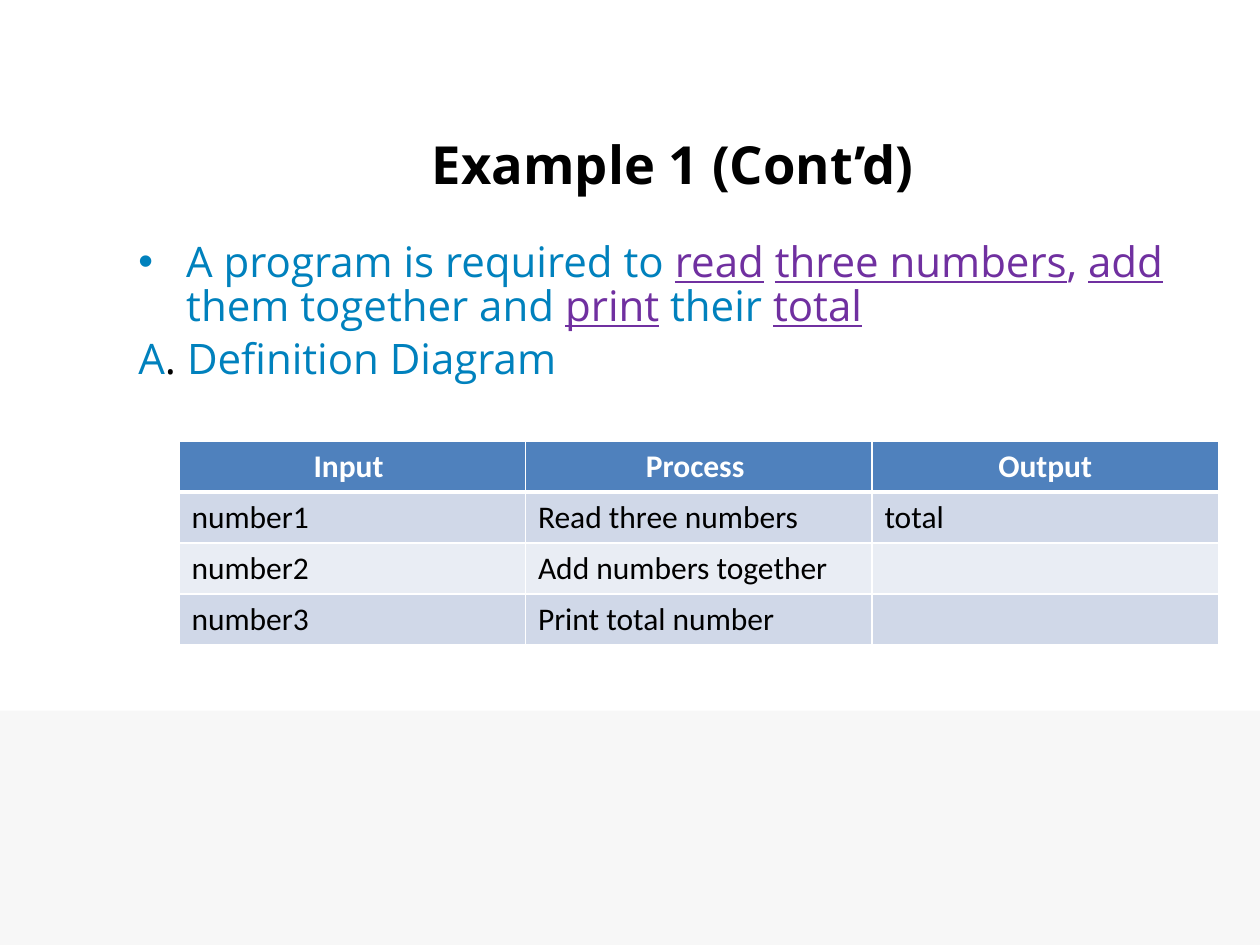
from lxml import etree
from pptx import Presentation
from pptx.dml.color import RGBColor
from pptx.enum import shapes, text
from pptx.oxml import ns
from pptx.util import Inches, Pt

BLACK = RGBColor(0, 0, 0)
WHITE = RGBColor(0xFF, 0xFF, 0xFF)
GRAY = RGBColor(0xF7, 0xF7, 0xF7)
BLUE = RGBColor(0x00, 0x81, 0xBD)
PURPLE = RGBColor(0x70, 0x30, 0xA0)
HEAD = RGBColor(0x4F, 0x81, 0xBD)
BANDS = [RGBColor(0xD0, 0xD8, 0xE8), RGBColor(0xE9, 0xED, 0xF4)]


class Page:
    sans = "Open Sans"
    body = "Calibri"

    def __init__(self, slide):
        self.slide = slide

    def style(self, font, face, size, color, bold=False):
        font.name, font.size, font.bold = face, Pt(size), bold
        font.color.rgb = color

    def rect(self, box, color):
        shape = self.slide.shapes.add_shape(
            shapes.MSO_SHAPE.RECTANGLE, *map(Inches, box))
        shape.shadow.inherit = False
        shape.fill.solid()
        shape.fill.fore_color.rgb = color
        shape.line.fill.background()

    def frame(self, box):
        frame = self.slide.shapes.add_textbox(*map(Inches, box)).text_frame
        frame.word_wrap = True
        return frame

    def title(self, box, words):
        frame = self.frame(box)
        frame.vertical_anchor = text.MSO_ANCHOR.MIDDLE
        frame.text = words
        self.style(frame.paragraphs[0].runs[0].font, self.sans, 30, BLACK, True)

    def points(self, box, items):
        """Each item is a bullet flag and its runs: words, colour, underline."""
        frame = self.frame(box)
        frame.margin_top = Inches(0.09)
        for i, (bullet, runs) in enumerate(items):
            para = frame.add_paragraph() if i else frame.paragraphs[0]
            para.line_spacing = 0.88
            para.space_before = Pt(4.8 if i else 0)
            props = para._p.get_or_add_pPr()
            props.set("marL", str(Inches(0.38)))
            props.set("indent", str(Inches(-0.38)))
            if bullet:
                font = etree.SubElement(props, ns.qn("a:buFont"))
                font.set("typeface", "Arial")
                mark = etree.SubElement(props, ns.qn("a:buChar"))
                mark.set("char", "•")
            else:
                etree.SubElement(props, ns.qn("a:buNone"))
            for words, color, under in runs:
                run = para.add_run()
                run.text = words
                self.style(run.font, self.sans, 24, color)
                run.font.underline = under

    def edge(self, cell, side, width):
        line = etree.SubElement(cell._tc.get_or_add_tcPr(), ns.qn("a:" + side))
        line.set("w", str(Pt(width)))
        fill = etree.SubElement(line, ns.qn("a:solidFill"))
        etree.SubElement(fill, ns.qn("a:srgbClr")).set("val", str(WHITE))

    def table(self, box, rows):
        grid = self.slide.shapes.add_table(
            len(rows), len(rows[0]), *map(Inches, box)).table
        for r, row in enumerate(rows):
            for c, words in enumerate(row):
                cell = grid.cell(r, c)
                for side in ("lnL", "lnR", "lnT", "lnB"):
                    thick = (r, side) in ((0, "lnB"), (1, "lnT"))
                    self.edge(cell, side, 3 if thick else 1)
                cell.fill.solid()
                cell.fill.fore_color.rgb = BANDS[(r - 1) % 2] if r else HEAD
                cell.text = words
                para = cell.text_frame.paragraphs[0]
                if r == 0:
                    para.alignment = text.PP_ALIGN.CENTER
                self.style(para.font, self.body, 18, BLACK if r else WHITE, r == 0)
                for run in para.runs:
                    self.style(run.font, self.body, 18, BLACK if r else WHITE, r == 0)


def main():
    deck = Presentation()
    deck.slide_width, deck.slide_height = Inches(10), Inches(7.5)
    page = Page(deck.slides.add_slide(deck.slide_layouts[6]))
    page.rect((0, 5.64, 10, 1.86), GRAY)
    page.title((3.33, 0.67, 6.67, 1.25), "Example 1 (Cont’d)")
    page.points((1, 1.83, 9, 1.5), [
        (True, [
            ("A program is required to ", BLUE, False),
            ("read", PURPLE, True),
            (" ", PURPLE, False),
            ("three numbers", PURPLE, True),
            (", ", PURPLE, False),
            ("add", PURPLE, True),
            (" ", PURPLE, False),
            ("them together and ", BLUE, False),
            ("print", PURPLE, True),
            (" ", BLACK, False),
            ("their ", BLUE, False),
            ("total", PURPLE, True),
        ]),
        (False, [
            ("A", BLUE, False),
            (". ", BLACK, False),
            ("Definition Diagram", BLUE, False),
        ]),
    ])
    page.table((1.42, 3.5, 8.25, 1.62), [
        ["Input ", "Process ", "Output"],
        ["number1", "Read three numbers", "total"],
        ["number2", "Add numbers together", ""],
        ["number3", "Print total number", ""],
    ])
    deck.save("out.pptx")


if __name__ == "__main__":
    main()
